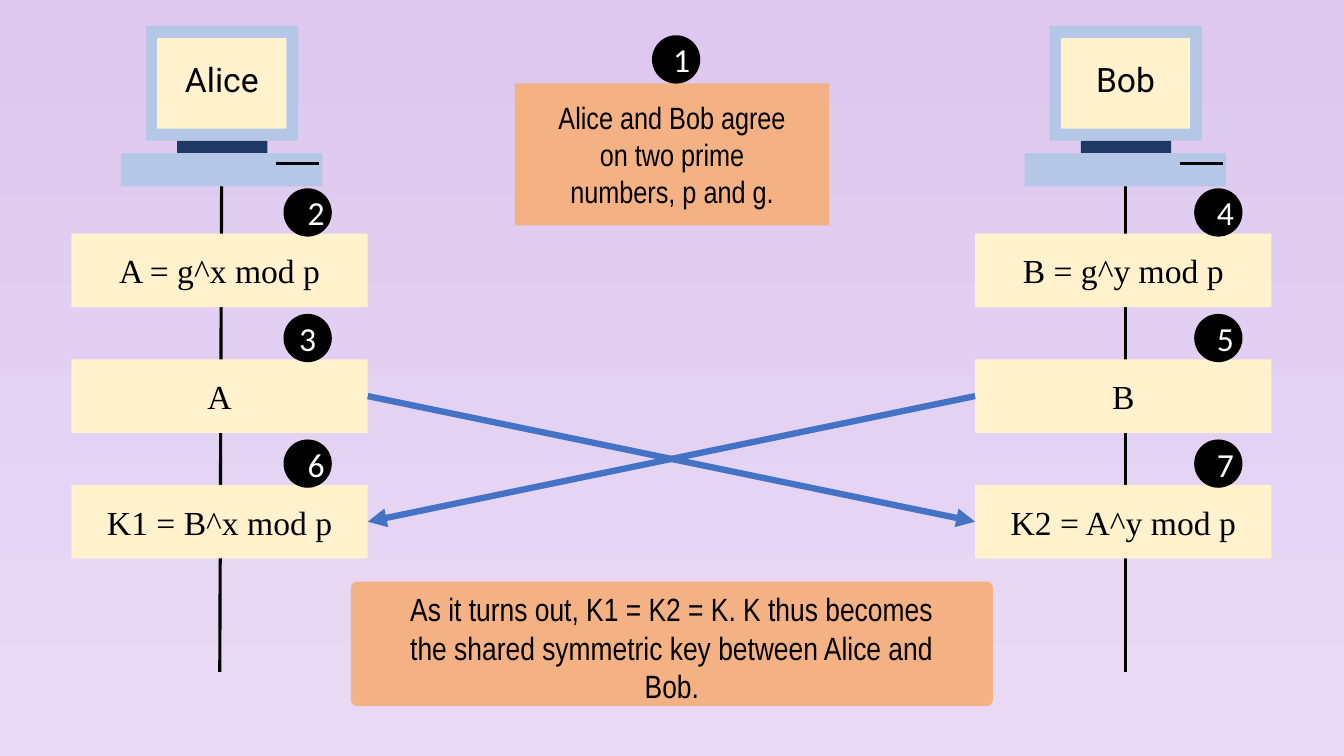
from lxml import etree
from pptx import Presentation
from pptx.dml.color import RGBColor
from pptx.enum.shapes import MSO_CONNECTOR, MSO_SHAPE
from pptx.enum.text import MSO_ANCHOR, PP_ALIGN
from pptx.oxml.ns import qn
from pptx.util import Pt

RECT, ROUND, OVAL = MSO_SHAPE.RECTANGLE, MSO_SHAPE.ROUNDED_RECTANGLE, MSO_SHAPE.OVAL
STRAIGHT = MSO_CONNECTOR.STRAIGHT
MIDDLE, CENTER = MSO_ANCHOR.MIDDLE, PP_ALIGN.CENTER

BLACK = RGBColor(0x00, 0x00, 0x00)
WHITE = RGBColor(0xFF, 0xFF, 0xFF)
CREAM = RGBColor(0xFF, 0xF2, 0xCC)
ORANGE = RGBColor(0xF4, 0xB1, 0x83)
PALE_BLUE = RGBColor(0xB4, 0xC7, 0xE7)
NAVY = RGBColor(0x20, 0x38, 0x64)
ARROW_BLUE = RGBColor(0x44, 0x72, 0xC4)
LILAC_TOP = RGBColor(0xDE, 0xC8, 0xEF)
LILAC_BOTTOM = RGBColor(0xE8, 0xD9, 0xF4)

PARTY_GAP = 645.5
BOX_LEFT, BOX_WIDTH, BOX_HEIGHT = 51, 211.7, 52.5
ROW_TOP, ROW_PITCH = 167, 89.7
BADGE_SIZE, BADGE_RISE = 34.5, 32.5

prs = Presentation()
prs.slide_width, prs.slide_height = Pt(960), Pt(540)
s = prs.slides.add_slide(prs.slide_layouts[6])

fill = s.background.fill
fill.gradient()
fill.gradient_angle = 270
for stop, color, position in zip(fill.gradient_stops, (LILAC_TOP, LILAC_BOTTOM), (0.02, 0.97)):
    stop.color.rgb = color
    stop.position = position


def add_box(kind, x, y, w, h, color, text="", font="Calibri", size=24,
            font_color=BLACK, insets=(0, 0, 0, 0)):
    """Add a filled shape with centred text; insets are left, top, right, bottom."""
    sp = s.shapes.add_shape(kind, Pt(x), Pt(y), Pt(w), Pt(h))
    sp.shadow.inherit = False
    sp.fill.solid()
    sp.fill.fore_color.rgb = color
    sp.line.fill.background()
    if text:
        tf = sp.text_frame
        tf.text = text
        tf.word_wrap = True
        tf.vertical_anchor = MIDDLE
        tf.margin_left, tf.margin_top, tf.margin_right, tf.margin_bottom = map(Pt, insets)
        p = tf.paragraphs[0]
        p.alignment = CENTER
        r = p.runs[0]
        r.font.name, r.font.size = font, Pt(size)
        r.font.color.rgb = font_color
    return sp


def add_line(x1, y1, x2, y2, color=BLACK, width=2.25):
    line = s.shapes.add_connector(STRAIGHT, Pt(x1), Pt(y1), Pt(x2), Pt(y2))
    line.line.color.rgb = color
    line.line.width = Pt(width)
    etree.SubElement(line._element.spPr, qn("a:effectLst"))
    return line


# Name, formulas, lifeline foot, badge left, (step number, digit shift) per row
parties = [
    ("Alice", ("A = g^x mod p", "A", "K1 = B^x mod p"), 157, 202.5,
     (("2", 12), ("3", 0), ("6", 12))),
    ("Bob", ("B = g^y mod p", "B", "K2 = A^y mod p"), 158.3, 207.5,
     (("4", 10), ("5", 10), ("7", 10))),
]
boxes = []
for i, (name, formulas, foot, badge_left, steps) in enumerate(parties):
    dx = i * PARTY_GAP
    add_line(dx + 158.3, 133, dx + foot, 480)

    # Computer
    add_box(RECT, dx + 104.3, 18.5, 108.7, 82, PALE_BLUE)
    add_box(RECT, dx + 112.3, 27.2, 92.2, 64.8, CREAM, name, "Roboto", insets=(0, 0, 0, 6))
    add_box(RECT, dx + 126.5, 100.6, 64.5, 8.8, NAVY)
    add_box(RECT, dx + 86.4, 109.4, 144, 23.8, PALE_BLUE)
    add_line(dx + 197.2, 116.6, dx + 228, 116.6)

    # Steps
    rows = []
    for j, (formula, (number, shift)) in enumerate(zip(formulas, steps)):
        y = ROW_TOP + j * ROW_PITCH
        rows.append(add_box(RECT, dx + BOX_LEFT, y, BOX_WIDTH, BOX_HEIGHT, CREAM,
                            formula, "Times New Roman"))
        add_box(OVAL, dx + badge_left, y - BADGE_RISE, BADGE_SIZE, BADGE_SIZE, BLACK,
                number, font_color=WHITE, insets=(shift, 0, 0, 0))
    boxes.append(rows)

# Exchange of A and B
alice, bob = boxes
for sender, receiver, start, end in ((alice, bob, 3, 1), (bob, alice, 1, 3)):
    arrow = add_line(0, 0, 0, 0, ARROW_BLUE, 4.5)
    arrow.begin_connect(sender[1], start)
    arrow.end_connect(receiver[2], end)
    ln = arrow._element.spPr.find(qn("a:ln"))
    etree.SubElement(ln, qn("a:tailEnd"), type="triangle")

# Agreement and conclusion
add_box(RECT, 367.7, 59.6, 224.6, 101.4, ORANGE,
        "Alice and Bob agree on two prime numbers, p and g.",
        "Arial Narrow", 22, insets=(22, 0, 22, 0))
add_box(OVAL, 465.7, 25.2, BADGE_SIZE, BADGE_SIZE, BLACK, "1",
        font_color=WHITE, insets=(8, 0, 0, 0))
conclusion = add_box(ROUND, 250.7, 415.4, 458.6, 89, ORANGE,
                     "As it turns out, K1 = K2 = K. K thus becomes the shared "
                     "symmetric key between Alice and Bob.",
                     "Arial Narrow", 23, insets=(33, 5, 33, 0))
conclusion.adjustments[0] = 0.05

prs.save("out.pptx")
